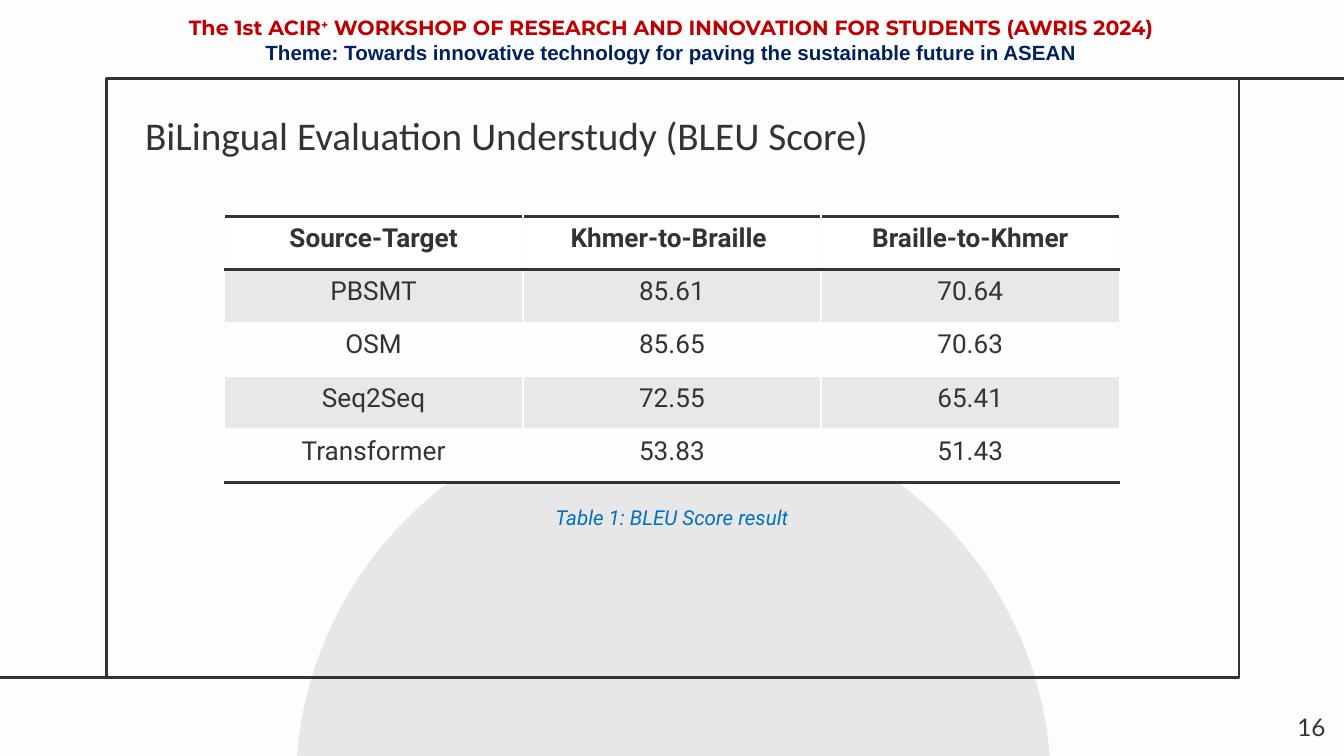
"""Build the slide with the BLEU score table for Khmer and Braille."""

from dataclasses import dataclass

from lxml.etree import SubElement
from pptx import Presentation
from pptx.dml.color import RGBColor
from pptx.enum.shapes import MSO_CONNECTOR, MSO_SHAPE
from pptx.enum.text import MSO_ANCHOR, PP_ALIGN
from pptx.oxml.ns import qn
from pptx.shapes.autoshape import Shape
from pptx.slide import Slide
from pptx.table import _Cell
from pptx.text.text import TextFrame, _Paragraph
from pptx.util import Inches, Pt

WIDE = Inches(10)
HIGH = WIDE * 9 // 16

INK = RGBColor(0x33, 0x33, 0x33)
PAPER = RGBColor(0xFD, 0xFD, 0xFD)
WHITE = RGBColor(0xFF, 0xFF, 0xFF)
DISC = RGBColor(0xE8, 0xE7, 0xE7)
BAND = RGBColor(0xE8, 0xE8, 0xE8)
RED = RGBColor(0xC0, 0x00, 0x00)
NAVY = RGBColor(0x00, 0x20, 0x60)
BLUE = RGBColor(0x00, 0x70, 0xC0)

RULE, HAIR = 2.15, 1
ROWS = [
    ("Source-Target", "Khmer-to-Braille ", "Braille-to-Khmer"),
    ("PBSMT", "85.61", "70.64"),
    ("OSM", "85.65", "70.63"),
    ("Seq2Seq", "72.55", "65.41"),
    ("Transformer", "53.83", "51.43"),
]


@dataclass(frozen=True)
class Box:
    """A place on the slide, in percent of its width and height."""

    left: float
    top: float
    width: float
    height: float

    def emu(self) -> tuple[int, int, int, int]:
        """Return left, top, width and height as lengths."""
        return (
            int(WIDE * self.left / 100),
            int(HIGH * self.top / 100),
            int(WIDE * self.width / 100),
            int(HIGH * self.height / 100),
        )


@dataclass(frozen=True)
class Face:
    """The look of a run of text."""

    font: str
    size: float
    color: RGBColor
    bold: bool = False
    italic: bool = False


FRAME = Box(7.95, 10.35, 84.25, 79.25)
HEAD = Face("Montserrat", 11, RED, bold=True)
THEME = Face("Arial", 11, NAVY, bold=True)


def add_run(para: _Paragraph, text: str, face: Face, lift: int = 0) -> None:
    """Add a run, raised by a percentage of its size."""
    run = para.add_run()
    run.text = text
    font = run.font
    font.name, font.size = face.font, Pt(face.size)
    font.bold, font.italic = face.bold, face.italic
    font.color.rgb = face.color
    if lift:
        run._r.get_or_add_rPr().set("baseline", str(lift * 1000))


def set_pad(frame: TextFrame, pad: float) -> None:
    """Wrap the text and give the frame equal insets."""
    frame.word_wrap = True
    frame.margin_left = frame.margin_right = Inches(pad)
    frame.margin_top = frame.margin_bottom = Inches(pad)


def add_box(slide: Slide, box: Box, align: PP_ALIGN, *lines: list[tuple]) -> TextFrame:
    """Add a text box with one paragraph for each list of runs."""
    frame = slide.shapes.add_textbox(*box.emu()).text_frame
    frame.word_wrap = True
    for i, line in enumerate(lines):
        para = frame.add_paragraph() if i else frame.paragraphs[0]
        para.alignment = align
        for part in line:
            add_run(para, *part)
    return frame


def add_form(slide: Slide, kind: MSO_SHAPE, box: Box) -> Shape:
    """Add a preset shape without shadow."""
    form = slide.shapes.add_shape(kind, *box.emu())
    form.shadow.inherit = False
    return form


def add_line(slide: Slide, start: float, end: float, row: float) -> None:
    """Add a level line between two shares of the width."""
    left, top, span, _ = Box(start, row, end - start, 0).emu()
    line = slide.shapes.add_connector(MSO_CONNECTOR.STRAIGHT, left, top, left + span, top)
    line.line.color.rgb = INK
    line.line.width = Pt(1.5)
    SubElement(line._element.spPr, qn("a:effectLst"))


def set_edge(cell: _Cell, side: str, color: RGBColor, width: float) -> None:
    """Draw one border of a cell."""
    edge = SubElement(cell._tc.get_or_add_tcPr(), qn(f"a:ln{side}"), w=str(Pt(width)))
    fill = SubElement(edge, qn("a:solidFill"))
    SubElement(fill, qn("a:srgbClr"), val=str(color))


def add_scores(slide: Slide, box: Box) -> None:
    """Add the table of scores with its rules and bands."""
    last = len(ROWS) - 1
    table = slide.shapes.add_table(len(ROWS), len(ROWS[0]), *box.emu()).table
    for i, row in enumerate(ROWS):
        ruled = {"L": False, "R": False, "T": i < 2, "B": i in (0, last)}
        for j, text in enumerate(row):
            cell = table.cell(i, j)
            for side, rule in ruled.items():
                set_edge(cell, side, INK if rule else PAPER, RULE if rule else HAIR)
            cell.fill.solid()
            cell.fill.fore_color.rgb = WHITE if i == 0 else BAND if i % 2 else PAPER
            para = cell.text_frame.paragraphs[0]
            para.alignment = PP_ALIGN.CENTER
            add_run(para, text, Face("Roboto", 14, INK, bold=i == 0))


def add_title(slide: Slide, box: Box, text: str) -> None:
    """Place and format the title."""
    title = slide.shapes.title
    title.left, title.top, title.width, title.height = box.emu()
    frame = title.text_frame
    set_pad(frame, 0.1)
    frame.vertical_anchor = MSO_ANCHOR.TOP
    para = frame.paragraphs[0]
    para.alignment = PP_ALIGN.LEFT
    para.line_spacing = 1.15
    add_run(para, text, Face("Calibri", 21, INK))


def main() -> None:
    """Build and save the slide."""
    deck = Presentation()
    deck.slide_width, deck.slide_height = WIDE, HIGH
    slide = deck.slides.add_slide(deck.slide_layouts[5])
    slide.background.fill.solid()
    slide.background.fill.fore_color.rgb = PAPER

    disc = add_form(slide, MSO_SHAPE.OVAL, Box(22, 54.05, 56.2, 100))
    disc.fill.solid()
    disc.fill.fore_color.rgb = DISC
    disc.line.fill.background()

    frame = add_form(slide, MSO_SHAPE.RECTANGLE, FRAME)
    frame.fill.background()
    frame.line.color.rgb = INK
    frame.line.width = Pt(1.5)
    add_line(slide, FRAME.left + FRAME.width, 100, FRAME.top)
    add_line(slide, 0, FRAME.left, FRAME.top + FRAME.height)

    page = add_box(slide, Box(93.6, 92.3, 6, 7.65), PP_ALIGN.RIGHT,
                   [("16", Face("Lato", 13, INK))])
    set_pad(page, 0.1)
    page.vertical_anchor = MSO_ANCHOR.MIDDLE

    add_scores(slide, Box(16.7, 28.64, 66.6, 35.2))
    add_title(slide, Box(9.8, 12, 84.3, 11.2),
              "BiLingual Evaluation Understudy (BLEU Score)")
    add_box(slide, Box(30.4, 65.95, 39.2, 5.15), PP_ALIGN.CENTER,
            [("Table 1: BLEU Score result", Face("Roboto", 11, BLUE, italic=True))])
    add_box(slide, Box(7.7, 1.1, 84.5, 8.7), PP_ALIGN.CENTER,
            [("The 1st ACIR", HEAD), ("+", HEAD, 30),
             (" WORKSHOP OF RESEARCH AND INNOVATION FOR STUDENTS (AWRIS 2024)", HEAD)],
            [("Theme: Towards innovative technology for paving "
              "the sustainable future in ASEAN", THEME)])
    deck.save("out.pptx")


if __name__ == "__main__":
    main()
